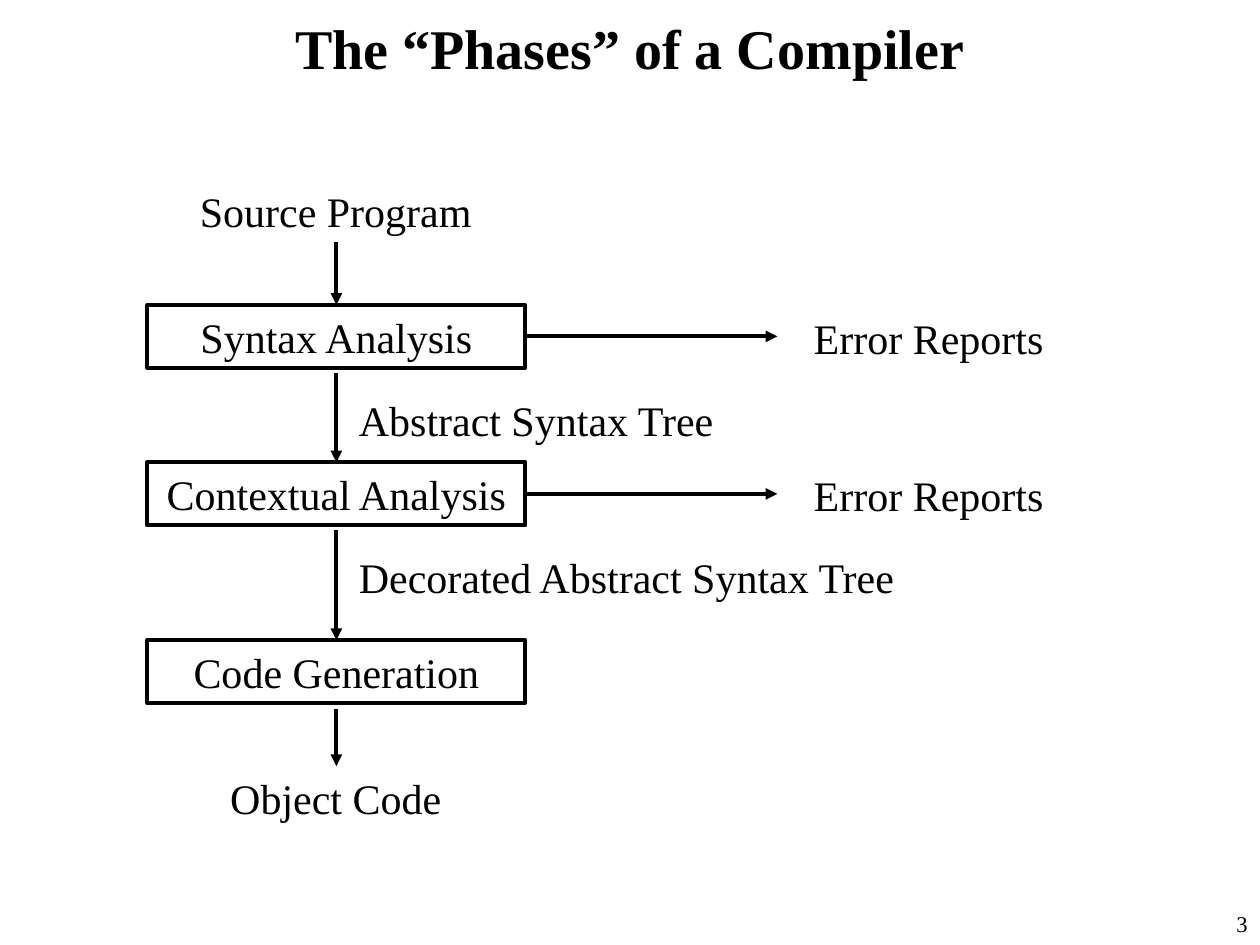
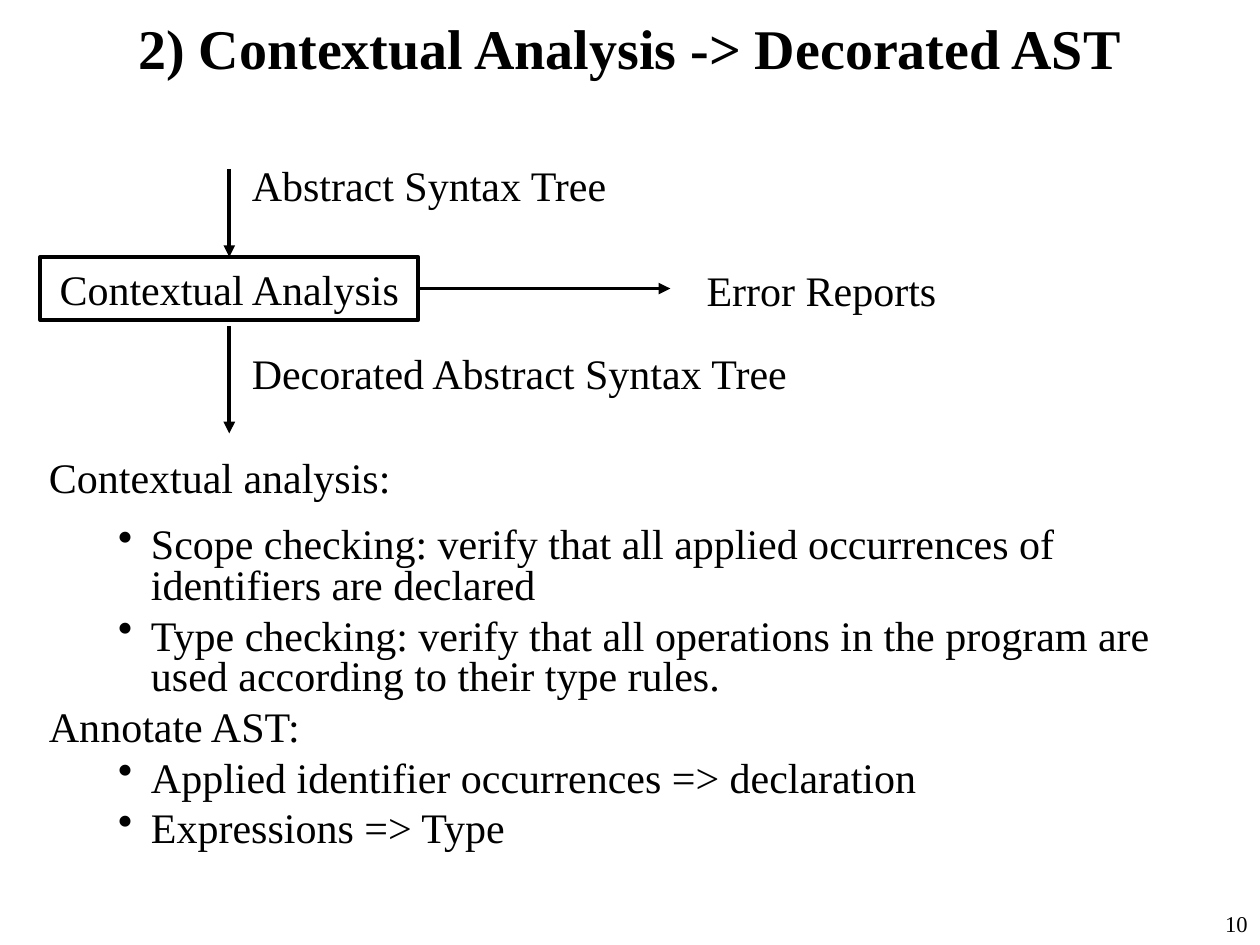
from lxml import etree
from pptx import Presentation
from pptx.dml.color import RGBColor
from pptx.enum.shapes import MSO_CONNECTOR, MSO_SHAPE
from pptx.enum.text import MSO_ANCHOR, MSO_AUTO_SIZE, PP_ALIGN
from pptx.oxml.ns import qn
from pptx.util import Inches, Pt

COLORS = {"ink": "000000", "paper": "FFFFFF"}
FONT = "Times New Roman"
TOP, RIGHT = 0, 3
BOX_W, BOX_H = 3, 0.5
ERROR_ARROW = 2


def rgb(name):
    return RGBColor.from_string(COLORS[name])


def add_bullet(p):
    pPr = p._p.get_or_add_pPr()
    pPr.set("marL", str(Inches(0.81)))
    pPr.set("indent", str(Inches(-0.26)))
    etree.SubElement(pPr, qn("a:buChar")).set("char", "•")


def write(tf, text, size=24, bold=False, align=PP_ALIGN.LEFT, first=True,
          bullet=False, before=0, spacing=None):
    p = tf.paragraphs[0] if first else tf.add_paragraph()
    if bullet:
        p.level = 1
        add_bullet(p)
    p.alignment = align
    p.space_before = Pt(before)
    if spacing:
        p.line_spacing = spacing
    r = p.add_run()
    r.text = text
    r.font.name = FONT
    r.font.size = Pt(size)
    r.font.bold = bold
    r.font.color.rgb = rgb("ink")


class Deck:
    """Builds black-on-white compiler slides one at a time."""

    def __init__(self):
        self.prs = Presentation()
        self.prs.slide_width = Inches(10)
        self.prs.slide_height = Inches(7.5)

    def slide(self, title, number):
        self.s = self.prs.slides.add_slide(self.prs.slide_layouts[5])
        self.s.background.fill.solid()
        self.s.background.fill.fore_color.rgb = rgb("paper")
        sp = self.s.shapes.title
        sp.left, sp.top, sp.width, sp.height = map(Inches, (0, 0, 10, 0.75))
        tf = sp.text_frame
        tf.auto_size = MSO_AUTO_SIZE.NONE
        tf.vertical_anchor = MSO_ANCHOR.MIDDLE
        write(tf, title, size=32, bold=True, align=PP_ALIGN.CENTER)
        self.text(9.25, 7.17, 0.75, 0.33, number, size=12.9, align=PP_ALIGN.RIGHT)

    def text(self, x, y, w, h, text, **fmt):
        sp = self.s.shapes.add_textbox(*map(Inches, (x, y, w, h)))
        tf = sp.text_frame
        tf.word_wrap = True
        write(tf, text, **fmt)
        return tf

    def box(self, x, y, text):
        sp = self.s.shapes.add_shape(MSO_SHAPE.RECTANGLE, *map(Inches, (x, y, BOX_W, BOX_H)))
        sp.shadow.inherit = False
        sp.fill.background()
        sp.line.color.rgb = rgb("ink")
        sp.line.width = Pt(2.25)
        sp.text_frame.word_wrap = True
        sp.text_frame.vertical_anchor = MSO_ANCHOR.TOP
        write(sp.text_frame, text, align=PP_ALIGN.CENTER)
        return sp

    def arrow(self, x1, y1, x2, y2, source=None, target=None):
        c = self.s.shapes.add_connector(MSO_CONNECTOR.STRAIGHT, *map(Inches, (x1, y1, x2, y2)))
        if source is not None:
            c.begin_connect(source, RIGHT)
        if target is not None:
            c.end_connect(target, TOP)
        c.line.color.rgb = rgb("ink")
        c.line.width = Pt(2.25)
        etree.SubElement(c.line._get_or_add_ln(), qn("a:tailEnd")).set("type", "triangle")
        etree.SubElement(c._element.spPr, qn("a:effectLst"))

    def phase(self, x, y, name, arrow_from, errors=True):
        box = self.box(x, y, name)
        mid_x, mid_y, right = x + BOX_W / 2, y + BOX_H / 2, x + BOX_W
        self.arrow(mid_x, arrow_from, mid_x, y, target=box)
        if errors:
            end = right + ERROR_ARROW
            self.arrow(right, mid_y, end, mid_y, source=box)
            self.text(end, y + 0.01, 2.4, 0.5, "Error Reports", align=PP_ALIGN.CENTER)

    def result(self, x, y, text):
        self.text(x + BOX_W / 2 + 0.08, y, 4.5, 0.5, text)

    def bullets(self, x, y, w, h, items):
        (heading, _, _), *rest = items
        tf = self.text(x, y, w, h, heading, spacing=0.8)
        for text, bullet, before in rest:
            write(tf, text, first=False, bullet=bullet, before=before, spacing=0.8)


def phases_slide(deck):
    deck.slide("The “Phases” of a Compiler", "3")
    x = 1.17
    mid = x + BOX_W / 2
    for y, name in ((1.42, "Source Program"), (6.08, "Object Code")):
        deck.text(1.25, y, 2.83, 0.5, name, align=PP_ALIGN.CENTER)
    deck.phase(x, 2.42, "Syntax Analysis", 1.92)
    deck.phase(x, 3.67, "Contextual Analysis", 2.96)
    deck.phase(x, 5.08, "Code Generation", 4.21, errors=False)
    deck.arrow(mid, 5.63, mid, 6.08)
    deck.result(x, 3.08, "Abstract Syntax Tree")
    deck.result(x, 4.33, "Decorated Abstract Syntax Tree")


def contextual_slide(deck):
    deck.slide("2) Contextual Analysis -> Decorated AST", "10")
    x = 0.32
    mid = x + BOX_W / 2
    deck.phase(x, 2.04, "Contextual Analysis", 1.34)
    deck.arrow(mid, 2.59, mid, 3.44)
    deck.result(x, 1.22, "Abstract Syntax Tree")
    deck.result(x, 2.71, "Decorated Abstract Syntax Tree")
    deck.bullets(0.29, 3.61, 9.46, 3.21, [
        ("Contextual analysis:", False, 0),
        ("Scope checking: verify that all applied occurrences of identifiers are declared", True, 15),
        ("Type checking: verify that all operations in the program are used according to "
         "their type rules.", True, 6),
        ("Annotate AST:", False, 6),
        ("Applied identifier occurrences => declaration", True, 6),
        ("Expressions => Type", True, 6),
    ])


def main():
    deck = Deck()
    phases_slide(deck)
    contextual_slide(deck)
    deck.prs.save("out.pptx")


if __name__ == "__main__":
    main()
